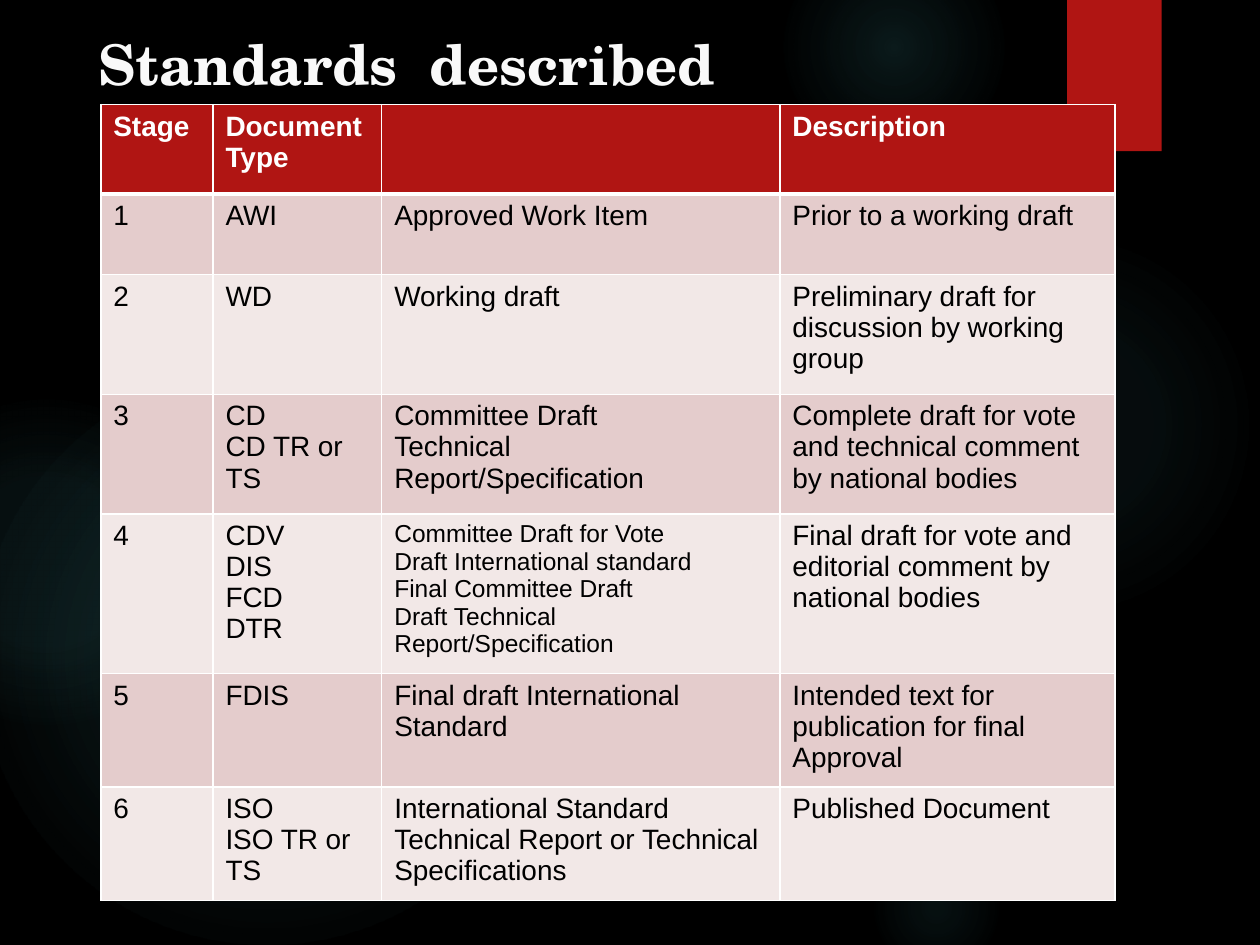
from dataclasses import dataclass

from lxml import etree
from pptx import Presentation
from pptx.dml.color import RGBColor
from pptx.enum.shapes import MSO_SHAPE
from pptx.enum.text import MSO_ANCHOR
from pptx.oxml.ns import qn
from pptx.slide import Slide
from pptx.table import _Cell
from pptx.text.text import TextFrame
from pptx.util import Inches, Pt

ELLIPSE = MSO_SHAPE.OVAL
RECTANGLE = MSO_SHAPE.RECTANGLE
BOTTOM = MSO_ANCHOR.BOTTOM


@dataclass(frozen=True)
class Theme:
    background: str = "000000"
    accent: str = "B01513"
    glow: str = "50B9C1"
    title: str = "F9F9F9"
    header_text: str = "FFFFFF"
    body_text: str = "000000"
    border: str = "FFFFFF"
    bands: tuple[str, str] = ("E4CCCC", "F2E8E7")
    title_font: str = "TeX Gyre Schola"
    table_font: str = "Arial"
    title_size: int = 32
    table_size: int = 16
    small_size: int = 14
    thin_border: int = 1
    thick_border: int = 3


@dataclass(frozen=True)
class Glow:
    left: float
    top: float
    diameter: float
    stops: tuple[tuple[int, int], ...]


@dataclass(frozen=True)
class Stage:
    height: float
    cells: tuple[str, str, str, str]
    name_size: int


THEME = Theme()

GLOWS = (
    Glow(6.89, 1.83, 3.08, ((0, 7), (36, 6), (69, 0))),
    Glow(6.22, -0.5, 1.75, ((0, 14), (36, 7), (73, 0))),
    Glow(6.89, 6.67, 1.08, ((0, 9), (36, 5), (66, 0))),
    Glow(-0.17, 2.92, 4.58, ((0, 11), (36, 10), (75, 0))),
    Glow(-0.92, 3.17, 2.58, ((0, 8), (36, 8), (72, 0))),
)

COLUMN_WIDTHS = (0.89, 1.34, 3.16, 2.66)
HEADER_HEIGHT = 0.71
HEADER = ("Stage", "Document Type", "", "Description")
STAGES = (
    Stage(0.64, ("1", "AWI", "Approved Work Item", "Prior to a working draft"), THEME.table_size),
    Stage(0.95, ("2", "WD", "Working draft",
                 "Preliminary draft for discussion by working group"), THEME.table_size),
    Stage(0.95, ("3", "CD\nCD TR or TS", "Committee Draft\nTechnical Report/Specification",
                 "Complete draft for vote and technical comment by national bodies"),
          THEME.table_size),
    Stage(1.23, ("4", "CDV\nDIS\nFCD\nDTR",
                 "Committee Draft for Vote\nDraft International standard\n"
                 "Final Committee Draft\nDraft Technical Report/Specification",
                 "Final draft for vote and editorial comment by national bodies"),
          THEME.small_size),
    Stage(0.64, ("5", "FDIS", "Final draft International Standard",
                 "Intended text for publication for final Approval"), THEME.table_size),
    Stage(0.64, ("6", "ISO\nISO TR or TS",
                 "International Standard\nTechnical Report or Technical Specifications",
                 "Published Document"), THEME.table_size),
)


def write_text(frame: TextFrame, text: str, *, font: str, size: int, color: str,
               bold: bool = False) -> None:
    frame.word_wrap = True
    for index, line in enumerate(text.split("\n")):
        paragraph = frame.paragraphs[0] if index == 0 else frame.add_paragraph()
        paragraph.font.size = Pt(size)
        if not line:
            continue
        run = paragraph.add_run()
        run.text = line
        run.font.name = font
        run.font.size = Pt(size)
        run.font.bold = bold
        run.font.color.rgb = RGBColor.from_string(color)


def add_color(parent: etree._Element, color: str) -> etree._Element:
    return etree.SubElement(parent, qn("a:srgbClr"), val=color)


def add_glow(slide: Slide, glow: Glow) -> None:
    shape = slide.shapes.add_shape(ELLIPSE, Inches(glow.left), Inches(glow.top),
                                   Inches(glow.diameter), Inches(glow.diameter))
    shape.shadow.inherit = False
    shape.line.fill.background()
    shape.fill.gradient()
    gradient = shape.element.spPr.find(qn("a:gradFill"))
    for child in list(gradient):
        gradient.remove(child)
    stop_list = etree.SubElement(gradient, qn("a:gsLst"))
    for position, opacity in glow.stops:
        stop = etree.SubElement(stop_list, qn("a:gs"), pos=str(position * 1000))
        color = add_color(stop, THEME.glow)
        etree.SubElement(color, qn("a:alpha"), val=str(opacity * 1000))
    circle = etree.SubElement(gradient, qn("a:path"), {"path": "circle"})
    etree.SubElement(circle, qn("a:fillToRect"), l="50000", t="50000", r="50000", b="50000")


def add_accent(slide: Slide) -> None:
    shape = slide.shapes.add_shape(RECTANGLE, Inches(8.47), Inches(0), Inches(0.75), Inches(1.2))
    shape.shadow.inherit = False
    shape.line.fill.background()
    shape.fill.solid()
    shape.fill.fore_color.rgb = RGBColor.from_string(THEME.accent)


def add_title(slide: Slide, text: str) -> None:
    box = slide.shapes.add_textbox(Inches(0.68), Inches(0.49), Inches(8.17), Inches(0.33))
    box.text_frame.vertical_anchor = BOTTOM
    write_text(box.text_frame, text, font=THEME.title_font, size=THEME.title_size,
               color=THEME.title, bold=True)


def style_cell(cell: _Cell, fill: str, borders: dict[str, int]) -> None:
    properties = cell._tc.get_or_add_tcPr()
    for side, width in borders.items():
        line = etree.SubElement(properties, qn(f"a:ln{side}"), w=str(Pt(width)))
        add_color(etree.SubElement(line, qn("a:solidFill")), THEME.border)
    cell.fill.solid()
    cell.fill.fore_color.rgb = RGBColor.from_string(fill)


def add_stage_table(slide: Slide) -> None:
    heights = (HEADER_HEIGHT, *(stage.height for stage in STAGES))
    table = slide.shapes.add_table(len(heights), len(COLUMN_WIDTHS), Inches(0.8), Inches(0.83),
                                   Inches(sum(COLUMN_WIDTHS)), Inches(sum(heights))).table
    for column, width in zip(table.columns, COLUMN_WIDTHS):
        column.width = Inches(width)
    for row, height in zip(table.rows, heights):
        row.height = Inches(height)

    thin = THEME.thin_border
    header_borders = {"L": thin, "R": thin, "T": thin, "B": THEME.thick_border}
    body_borders = {"L": thin, "R": thin, "B": thin}
    for cell, text in zip(table.rows[0].cells, HEADER):
        style_cell(cell, THEME.accent, header_borders)
        write_text(cell.text_frame, text, font=THEME.table_font, size=THEME.table_size,
                   color=THEME.header_text, bold=True)
    for index, stage in enumerate(STAGES):
        for column, text in enumerate(stage.cells):
            cell = table.cell(index + 1, column)
            style_cell(cell, THEME.bands[index % 2], body_borders)
            write_text(cell.text_frame, text, font=THEME.table_font,
                       size=stage.name_size if column == 2 else THEME.table_size,
                       color=THEME.body_text)


def main() -> None:
    presentation = Presentation()
    presentation.slide_width = Inches(10)
    presentation.slide_height = Inches(7.5)
    slide = presentation.slides.add_slide(presentation.slide_layouts[6])
    slide.background.fill.solid()
    slide.background.fill.fore_color.rgb = RGBColor.from_string(THEME.background)
    for glow in GLOWS:
        add_glow(slide, glow)
    add_accent(slide)
    add_title(slide, "Standards  described")
    add_stage_table(slide)
    presentation.save("out.pptx")


if __name__ == "__main__":
    main()
